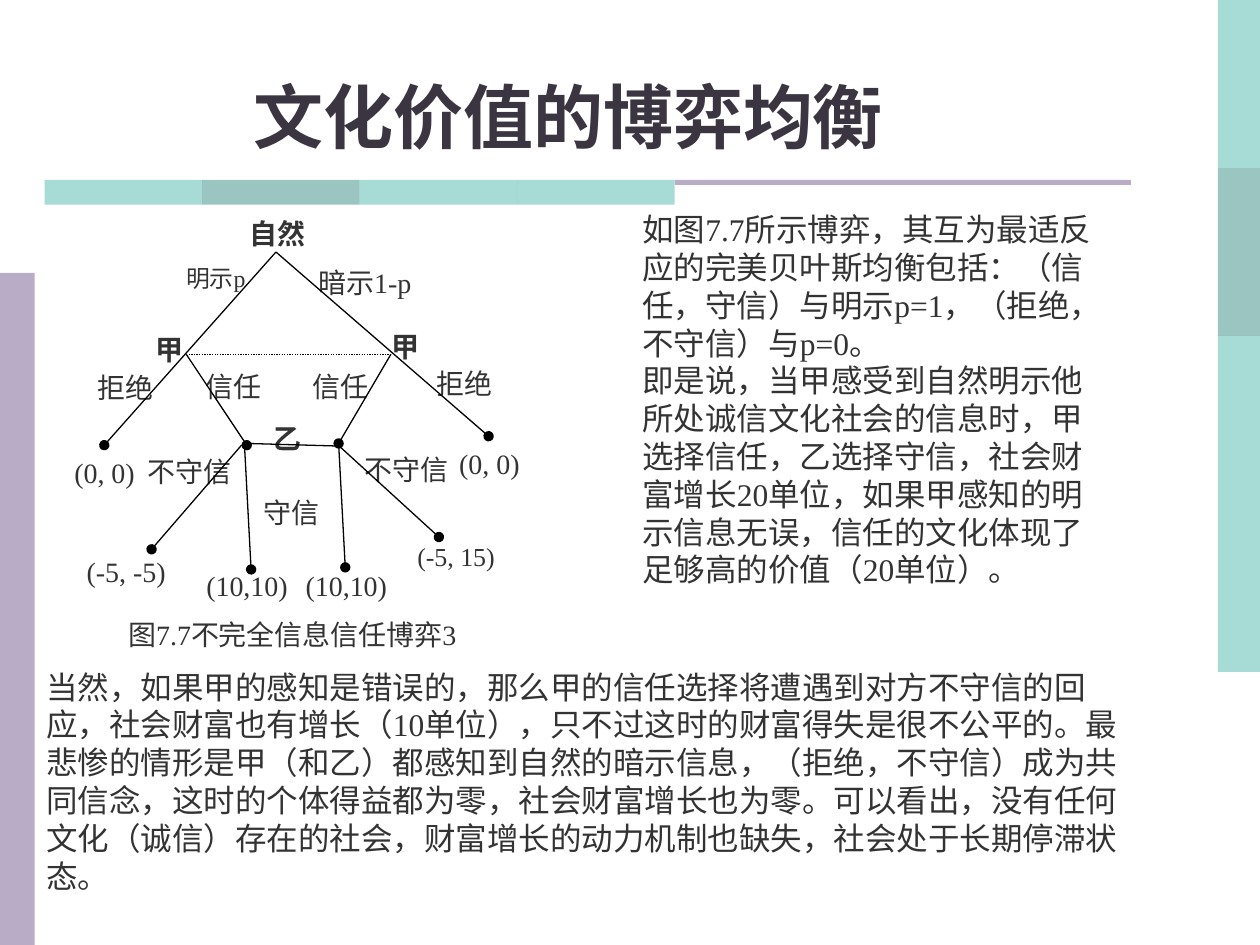
from pptx import Presentation
from pptx.dml.color import RGBColor
from pptx.enum import dml, shapes, text
from pptx.oxml import parse_xml
from pptx.oxml.ns import nsdecls, qn
from pptx.util import Pt
from lxml import etree

FONT = "Times New Roman"
COLORS = {"mint": "51B9AF", "teal": "398D85", "lilac": "B8ACC6", "white": "FFFFFF",
          "black": "000000", "title": "3A3541", "body": "333333"}

TITLE = "文化价值的博弈均衡"
CAPTION = "图7.7不完全信息信任博弈3"
RESULT = [
    "如图7.7所示博弈，其互为最适反应的完美贝叶斯均衡包括：（信任，守信）与明示p=1，（拒绝，不守信）与p=0。",
    "即是说，当甲感受到自然明示他所处诚信文化社会的信息时，甲选择信任，乙选择守信，社会财富增长20单位，"
    "如果甲感知的明示信息无误，信任的文化体现了足够高的价值（20单位）。",
]
REMARK = (
    "当然，如果甲的感知是错误的，那么甲的信任选择将遭遇到对方不守信的回应，社会财富也有增长（10单位），"
    "只不过这时的财富得失是很不公平的。最悲惨的情形是甲（和乙）都感知到自然的暗示信息，（拒绝，不守信）成为共同信念，"
    "这时的个体得益都为零，社会财富增长也为零。可以看出，没有任何文化（诚信）存在的社会，"
    "财富增长的动力机制也缺失，社会处于长期停滞状态。"
)

# text, left, top, width, height
PLAYERS = [
    ("自然", 136.8, 123.8, 43.9, 23.8),
    ("甲", 78.8, 190.3, 36, 23.8),
    ("甲", 213.8, 188.3, 36, 23.8),
    ("乙", 146.2, 240.8, 36, 23.8),
]
MOVES = [
    ("暗示1-p", 172.1, 151.9, 72.7, 26.6),
    ("拒绝", 49.7, 211.7, 43.9, 30.2),
    ("信任", 114.5, 211, 38.2, 30.2),
    ("信任", 175.7, 211, 38.2, 30.2),
    ("拒绝", 243.4, 209.5, 43.9, 30.2),
    ("不守信", 83, 259.9, 50.4, 30.2),
    ("守信", 147.6, 283, 38.2, 30.2),
    ("不守信", 206.9, 258.7, 50.4, 30.2),
    ("(0, 0)", 36, 260.2, 47.5, 26.6),
    ("(0, 0)", 255.9, 255.2, 47.5, 26.6),
    ("(-5, -5)", 48.4, 316.8, 47.5, 24.5),
    ("(10,10)", 117.4, 324.7, 47.5, 24.5),
    ("(10,10)", 174.2, 324.7, 47.5, 24.5),
]
TIGHT = [
    ("明示p", 102.8, 152.6, 41, 26.6, 13.6),
    ("(-5, 15)", 236.9, 311, 47.5, 24.5, 14.8),
]

ROOT, LEFT, RIGHT = (157.7, 144), (106.4, 202.4), (223.4, 202.4)
TRUST_L, TRUST_R = (141, 254.4), (193.5, 253.4)
BRANCHES = [
    (ROOT, (59.6, 254.4)),
    (ROOT, (279.2, 249.3)),
    (LEFT, TRUST_L),
    (RIGHT, TRUST_R),
    ((138.2, 254.2), (86.6, 313.9)),
    ((139.7, 254.2), (143.5, 325.4)),
    (TRUST_R, (197.3, 324.2)),
    ((192.2, 253.4), (250.8, 306.9)),
]


def rgb(name):
    return RGBColor.from_string(COLORS[name])


def write(shape, words, size=16, color="body", bold=False, align="LEFT",
          anchor="TOP", inset=(7.2, 3.6), wrap=True, grow=False, space=None):
    frame = shape.text_frame
    frame.word_wrap = wrap
    frame.auto_size = text.MSO_AUTO_SIZE.SHAPE_TO_FIT_TEXT if grow else text.MSO_AUTO_SIZE.NONE
    frame.vertical_anchor = getattr(text.MSO_ANCHOR, anchor)
    frame.margin_left = frame.margin_right = Pt(inset[0])
    frame.margin_top = frame.margin_bottom = Pt(inset[1])
    paras = [words] if isinstance(words, str) else words
    for i, words in enumerate(paras):
        para = frame.paragraphs[0] if i == 0 else frame.add_paragraph()
        para.alignment = getattr(text.PP_ALIGN, align)
        para._p.get_or_add_pPr().set("hangingPunct", "0")
        if space:
            para.line_spacing = space
        run = para.add_run()
        run.text = words
        font = run.font
        font.name, font.size, font.bold = FONT, Pt(size), bold
        font.color.rgb = rgb(color)


def box(words, x, y, w, h, **look):
    write(slide.shapes.add_textbox(Pt(x), Pt(y), Pt(w), Pt(h)), words, **look)


def rect(home, x, y, w, h, color, alpha=None, line=None):
    shape = home.add_shape(shapes.MSO_SHAPE.RECTANGLE, Pt(x), Pt(y), Pt(w), Pt(h))
    shape.shadow.inherit = False
    shape.fill.solid()
    shape.fill.fore_color.rgb = rgb(color)
    if alpha:
        tint = shape.fill._xPr.find(qn("a:solidFill"))[0]
        etree.SubElement(tint, qn("a:alpha")).set("val", str(alpha * 1000))
    if line:
        shape.line.color.rgb = rgb(line)
        shape.line.width = Pt(0.75)
    else:
        shape.line.fill.background()
    return shape


def label(words, *place, **look):
    shape = rect(tree, *place, "white", line="white")
    write(shape, words, align="CENTER", inset=(0, 0), **look)


def branch(start, end, dot=False, dash=None):
    ends = [Pt(v) for v in (*start, *end)]
    line = tree.add_connector(shapes.MSO_CONNECTOR.STRAIGHT, *ends)
    line.line.color.rgb = rgb("black")
    line.line.width = Pt(0.75)
    if dash:
        line.line.dash_style = dash
    if dot:
        line.line._get_or_add_ln().append(parse_xml(f'<a:tailEnd {nsdecls("a")} type="oval"/>'))
    etree.SubElement(line._element.spPr, qn("a:effectLst"))


deck = Presentation()
deck.slide_width, deck.slide_height = Pt(720), Pt(540)
slide = deck.slides.add_slide(deck.slide_layouts[6])

# Side strips and the rule below the title
for i in range(4):
    rect(slide.shapes, 696, 96 * i, 24, 96, "teal" if i == 1 else "mint", alpha=50)
    rect(slide.shapes, 25.5 + 90 * i, 102.8, 90, 14.2, "teal" if i == 1 else "mint", alpha=50)
rect(slide.shapes, 0, 156, 19.8, 384, "lilac")
rect(slide.shapes, 385.6, 102.8, 260.6, 2.9, "lilac")

box(REMARK, 19.5, 378, 640.8, 115.2, size=18, grow=True)
box(TITLE, 0, 31.7, 649.4, 61.9, size=40, color="title", bold=True,
    align="CENTER", anchor="BOTTOM")
box(CAPTION, 66.2, 349.2, 215, 26.6, wrap=False, grow=True)

tree = slide.shapes.add_group_shape().shapes
for item in MOVES:
    label(*item)
for *item, size in TIGHT:
    label(*item, size=size, space=0.9)
for item in PLAYERS:
    label(*item, bold=True)
for start, end in BRANCHES:
    branch(start, end, dot=True)
branch(LEFT, RIGHT, dash=dml.MSO_LINE.ROUND_DOT)
branch((141.1, 253.4), (193.7, 254.9))

box(RESULT, 360, 116.6, 283.7, 223.2, size=18, grow=True)

deck.save("out.pptx")
